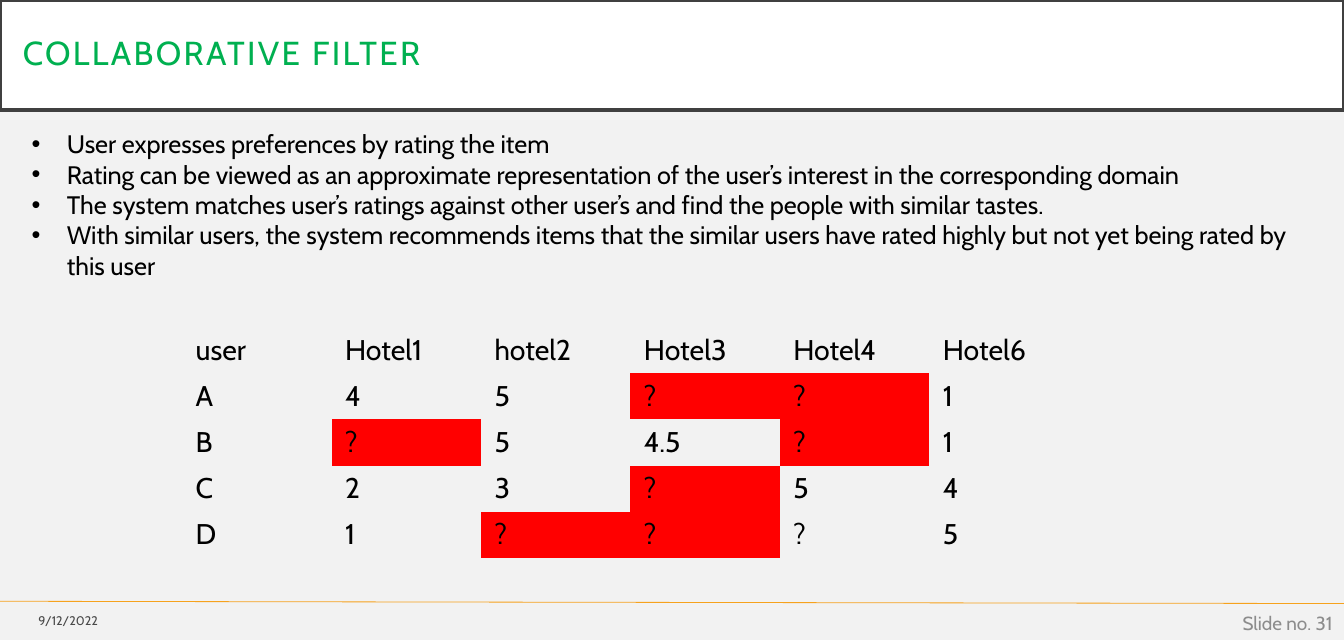
from pptx import Presentation
from pptx.dml.color import RGBColor
from pptx.enum.shapes import MSO_CONNECTOR, MSO_SHAPE
from pptx.enum.text import MSO_ANCHOR, PP_ALIGN
from pptx.oxml.ns import qn
from pptx.util import Inches, Pt
from lxml import etree

RECTANGLE = MSO_SHAPE.RECTANGLE
STRAIGHT = MSO_CONNECTOR.STRAIGHT
MIDDLE = MSO_ANCHOR.MIDDLE
LEFT, RIGHT = PP_ALIGN.LEFT, PP_ALIGN.RIGHT

BACKGROUND = RGBColor(0xF2, 0xF2, 0xF2)
WHITE = RGBColor(0xFF, 0xFF, 0xFF)
BLACK = RGBColor(0x00, 0x00, 0x00)
DARK_GRAY = RGBColor(0x40, 0x40, 0x40)
DATE_GRAY = RGBColor(0x49, 0x49, 0x49)
NUMBER_GRAY = RGBColor(0x8C, 0x8C, 0x8C)
GREEN = RGBColor(0x00, 0xB0, 0x50)
ORANGE = RGBColor(0xF6, 0xA2, 0x1D)
RED = RGBColor(0xFF, 0x00, 0x00)

FONT = "Cabin"
NO_STYLE = "{2D5ABB26-0587-4C30-8999-92F81FD0307C}"


def write(paragraph, text, size, color=BLACK, align=LEFT, spacing=None):
    paragraph.alignment = align
    run = paragraph.add_run()
    run.text = text
    run.font.name = FONT
    run.font.size = Pt(size)
    run.font.color.rgb = color
    if spacing:
        run.font._element.set("spc", str(spacing))


presentation = Presentation()
presentation.slide_width = Inches(11.81)
presentation.slide_height = Inches(5.62)
slide = presentation.slides.add_slide(presentation.slide_layouts[6])
slide.background.fill.solid()
slide.background.fill.fore_color.rgb = BACKGROUND

# Footer line
footer_line = slide.shapes.add_connector(
    STRAIGHT, Inches(0), Inches(5.28), Inches(11.81), Inches(5.3))
footer_line.line.color.rgb = ORANGE
footer_line.line.width = Pt(0.5)
etree.SubElement(footer_line._element.spPr, qn("a:effectLst"))

# Title bar
title = slide.shapes.add_shape(
    RECTANGLE, Inches(0), Inches(0), Inches(11.81), Inches(0.97))
title.shadow.inherit = False
title.fill.solid()
title.fill.fore_color.rgb = WHITE
title.line.color.rgb = DARK_GRAY
title.line.width = Pt(2.5)
frame = title.text_frame
frame.vertical_anchor = MIDDLE
frame.margin_left = frame.margin_right = Inches(0.2)
frame.margin_top = frame.margin_bottom = Inches(0.2)
frame.paragraphs[0].line_spacing = 0.9
write(frame.paragraphs[0], "COLLABORATIVE FILTER", 21, GREEN, spacing=150)

# Date and slide number
footers = [
    ("9/12/2022", 0, 5.31, 0.96, 0.27, 7.9, DATE_GRAY),
    ("Slide no. 31", 9.15, 5.32, 2.66, 0.3, 12, NUMBER_GRAY),
]
for text, left, top, width, height, size, color in footers:
    footer = slide.shapes.add_textbox(
        Inches(left), Inches(top), Inches(width), Inches(height))
    footer.text_frame.word_wrap = True
    footer.text_frame.vertical_anchor = MIDDLE
    write(footer.text_frame.paragraphs[0], text, size, color, RIGHT)

# Bullet list
points = [
    "User expresses preferences by rating the item",
    "Rating can be viewed as an approximate representation of the user’s interest in the corresponding domain",
    "The system matches user’s ratings against other user’s and find the people with similar tastes.",
    "With similar users, the system recommends items that the similar users have rated highly "
    "but not yet being rated by this user",
]
body = slide.shapes.add_textbox(
    Inches(0.18), Inches(1.08), Inches(11.43), Inches(1.45))
frame = body.text_frame
frame.word_wrap = True
for index, point in enumerate(points):
    paragraph = frame.add_paragraph() if index else frame.paragraphs[0]
    properties = paragraph._p.get_or_add_pPr()
    properties.set("marL", str(Inches(0.31)))
    properties.set("indent", str(-Inches(0.31)))
    etree.SubElement(properties, qn("a:buFont")).set("typeface", "Arial")
    etree.SubElement(properties, qn("a:buChar")).set("char", "•")
    write(paragraph, point, 16)

# Ratings table
ratings = [
    ["user", "Hotel1", "hotel2", "Hotel3", "Hotel4", "Hotel6"],
    ["A", "4", "5", "?", "?", "1"],
    ["B", "?", "5", "4.5", "?", "1"],
    ["C", "2", "3", "?", "5", "4"],
    ["D", "1", "?", "?", "?", "5"],
]
unmarked = (4, 4)  # the one unknown rating that stays plain
table = slide.shapes.add_table(
    len(ratings), len(ratings[0]),
    Inches(1.6), Inches(2.87), Inches(7.88), Inches(2.03)).table
table.first_row = table.horz_banding = False
table._tbl.tblPr.find(qn("a:tableStyleId")).text = NO_STYLE
for row, values in enumerate(ratings):
    for column, value in enumerate(values):
        cell = table.cell(row, column)
        cell.margin_left = cell.margin_right = Inches(0.12)
        cell.margin_top = cell.margin_bottom = Inches(0.05)
        if value == "?" and (row, column) != unmarked:
            cell.fill.solid()
            cell.fill.fore_color.rgb = RED
        else:
            cell.fill.background()
        write(cell.text_frame.paragraphs[0], value, 18)

presentation.save("out.pptx")
